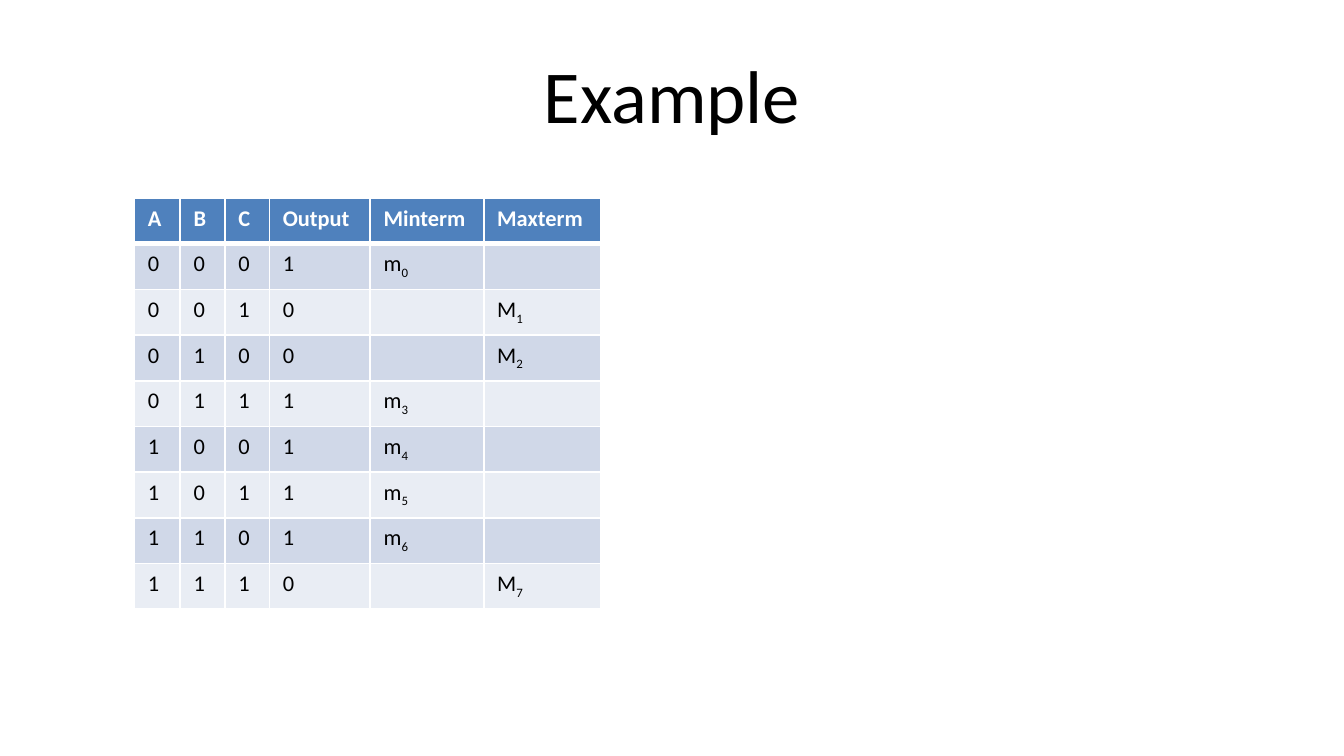
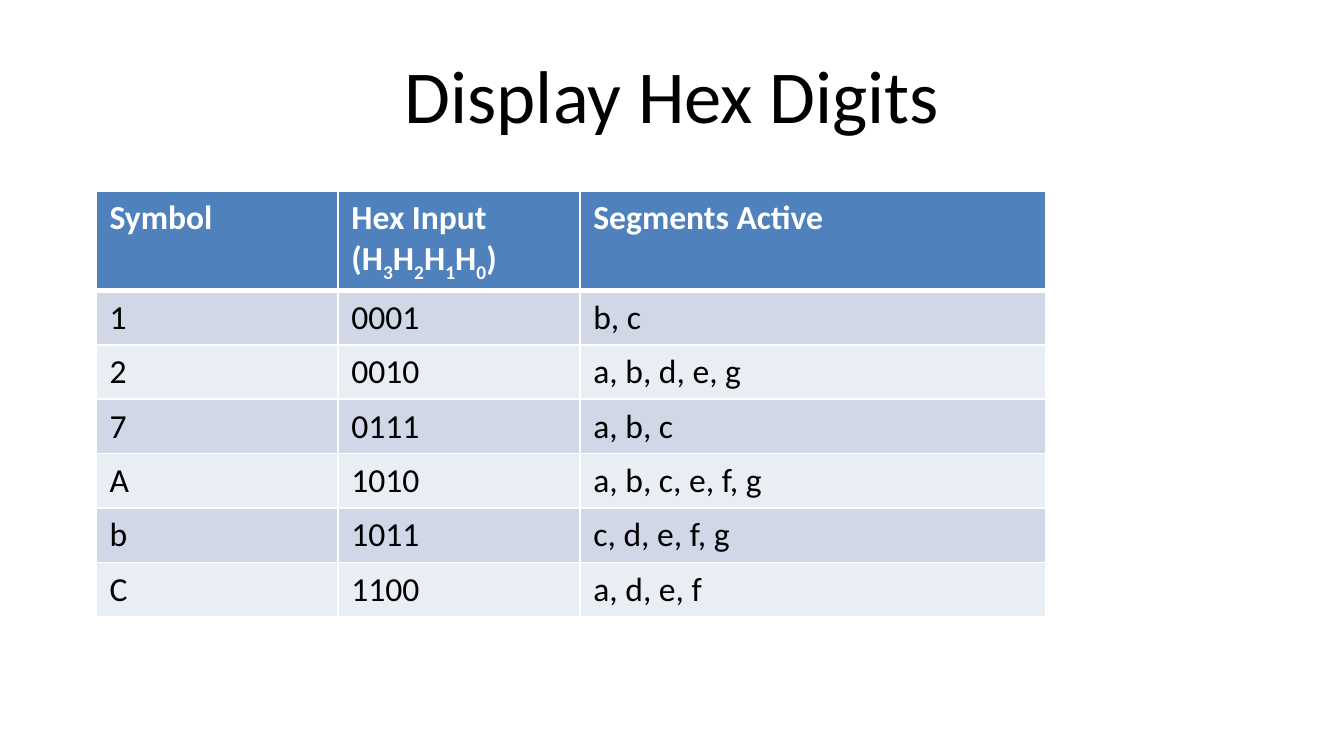
from itertools import product

from lxml.etree import SubElement
from pptx import Presentation
from pptx.dml.color import RGBColor as Rgb
from pptx.enum.text import MSO_ANCHOR as Anchor, PP_ALIGN as Align
from pptx.oxml.ns import qn
from pptx.util import Emu, Pt

PX = 4572
FONT = "Calibri"
COLORS = {
    "text": "000000",
    "white": "FFFFFF",
    "header": "4F81BD",
    "odd": "D0D8E8",
    "even": "E9EDF4",
}


def px(value):
    return Emu(value * PX)


def color(name):
    return Rgb.from_string(COLORS[name])


class DeckBuilder:
    def __init__(self, width, height):
        self.deck = Presentation()
        self.deck.slide_width = px(width)
        self.deck.slide_height = px(height)
        self.page = None

    def add_page(self, title):
        self.page = self.deck.slides.add_slide(self.deck.slide_layouts[6])
        box = self.page.shapes.add_textbox(px(100), px(46), px(1800), px(188))
        box.text_frame.word_wrap = True
        box.text_frame.vertical_anchor = Anchor.MIDDLE
        para = box.text_frame.paragraphs[0]
        para.alignment = Align.CENTER
        self.add_span(para, title, 40, "text")

    def add_span(self, para, text, size, ink, bold=False, subscript=False):
        span = para.add_run()
        span.text = text
        span.font.name = FONT
        span.font.size = Pt(size)
        span.font.bold = bold
        span.font.color.rgb = color(ink)
        if subscript:
            span.font._element.set("baseline", "-25000")

    def add_marked_text(self, para, text, size, ink, bold):
        plain, *marked = text.split("_")
        if plain:
            self.add_span(para, plain, size, ink, bold)
        for part in marked:
            self.add_span(para, part[0], size, ink, bold, subscript=True)
            if part[1:]:
                self.add_span(para, part[1:], size, ink, bold)
        if not text:
            SubElement(para._p, qn("a:endParaRPr"), sz=str(size * 100))

    def add_border(self, cell, side, points):
        properties = cell._tc.get_or_add_tcPr()
        line = SubElement(properties, qn(f"a:ln{side}"), w=str(Pt(points)))
        fill = SubElement(line, qn("a:solidFill"))
        SubElement(fill, qn("a:srgbClr"), val=COLORS["white"])

    def add_cell(self, cell, text, row, size):
        header = row == 0
        widths = {"L": 1, "R": 1, "T": 3 if row == 1 else 1, "B": 3 if header else 1}
        for side, points in widths.items():
            self.add_border(cell, side, points)
        cell.fill.solid()
        cell.fill.fore_color.rgb = color("header" if header else "odd" if row % 2 else "even")
        ink = "white" if header else "text"
        self.add_marked_text(cell.text_frame.paragraphs[0], text, size, ink, header)

    def add_table(self, left, top, height, columns, row_height, rows, size):
        frame = self.page.shapes.add_table(
            len(rows), len(columns), px(left), px(top), px(sum(columns)), px(height)
        )
        table = frame.table
        for column, width in zip(table.columns, columns):
            column.width = px(width)
        for row, texts in enumerate(rows):
            table.rows[row].height = px(row_height)
            for column, text in enumerate(texts):
                self.add_cell(table.cell(row, column), text, row, size)
        frame.height = px(height)


def truth_rows(outputs):
    rows = [("A", "B", "C", "Output", "Minterm", "Maxterm")]
    for index, (bits, output) in enumerate(zip(product("01", repeat=3), outputs)):
        terms = (f"m_{index}", "") if output == "1" else ("", f"M_{index}")
        rows.append((*bits, output, *terms))
    return rows


def main():
    builder = DeckBuilder(2000, 1125)

    builder.add_page("Example")
    columns = [68, 67, 66, 150, 169, 174]
    builder.add_table(200, 295, 610, columns, 68, truth_rows("10011110"), 12)

    builder.add_page("Display Hex Digits")
    segments = {
        "1": "b, c",
        "2": "a, b, d, e, g",
        "7": "a, b, c",
        "A": "a, b, c, e, f, g",
        "b": "c, d, e, f, g",
        "C": "a, d, e, f",
    }
    rows = [("Symbol", "Hex Input (H_3H_2H_1H_0)", "Segments Active")]
    rows += [(symbol, f"{int(symbol, 16):04b}", active) for symbol, active in segments.items()]
    builder.add_table(143, 284, 628, [360, 360, 694], 81, rows, 18)

    builder.deck.save("out.pptx")


if __name__ == "__main__":
    main()
